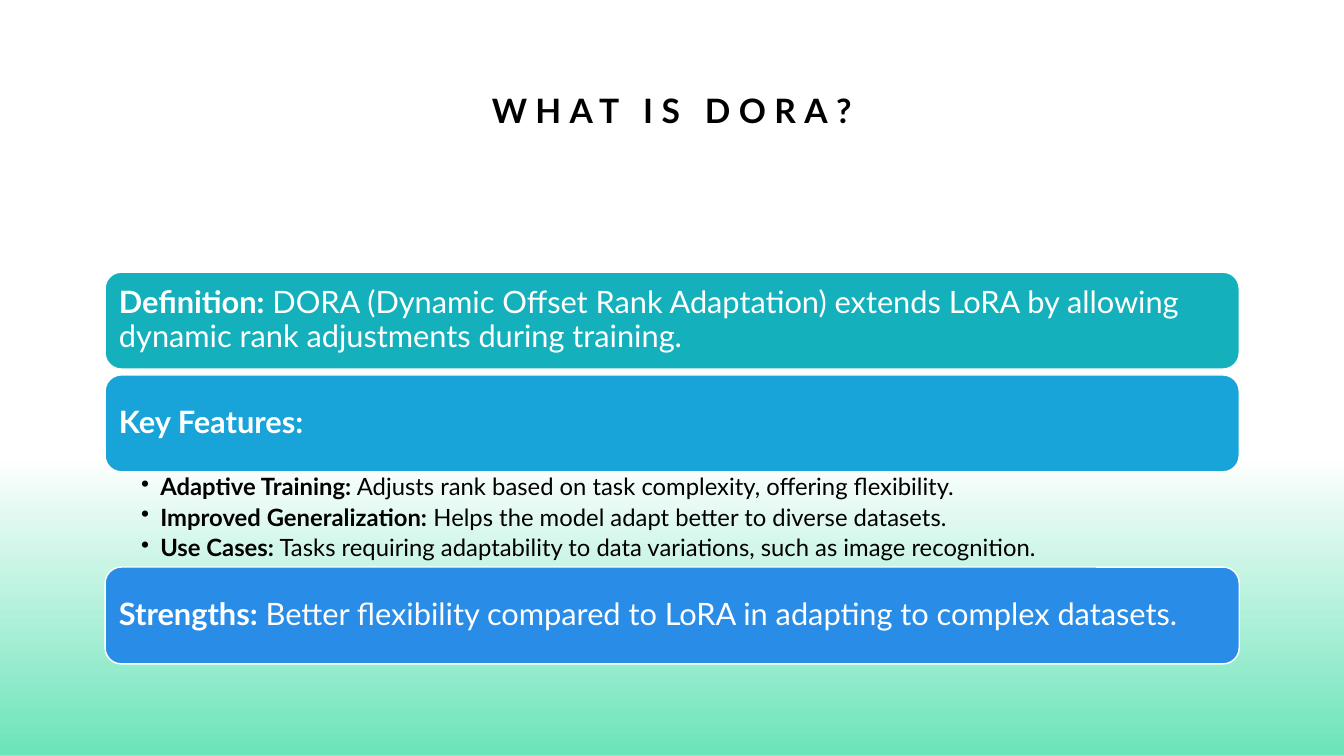
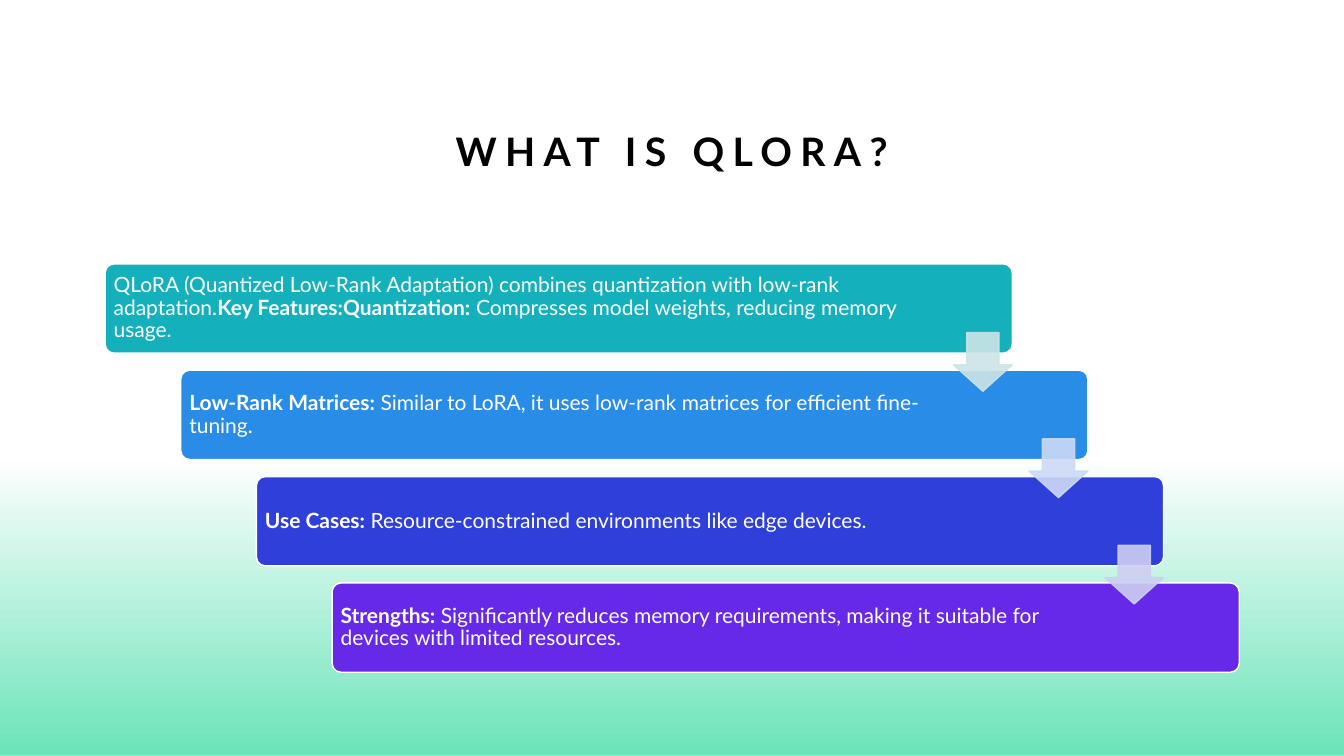
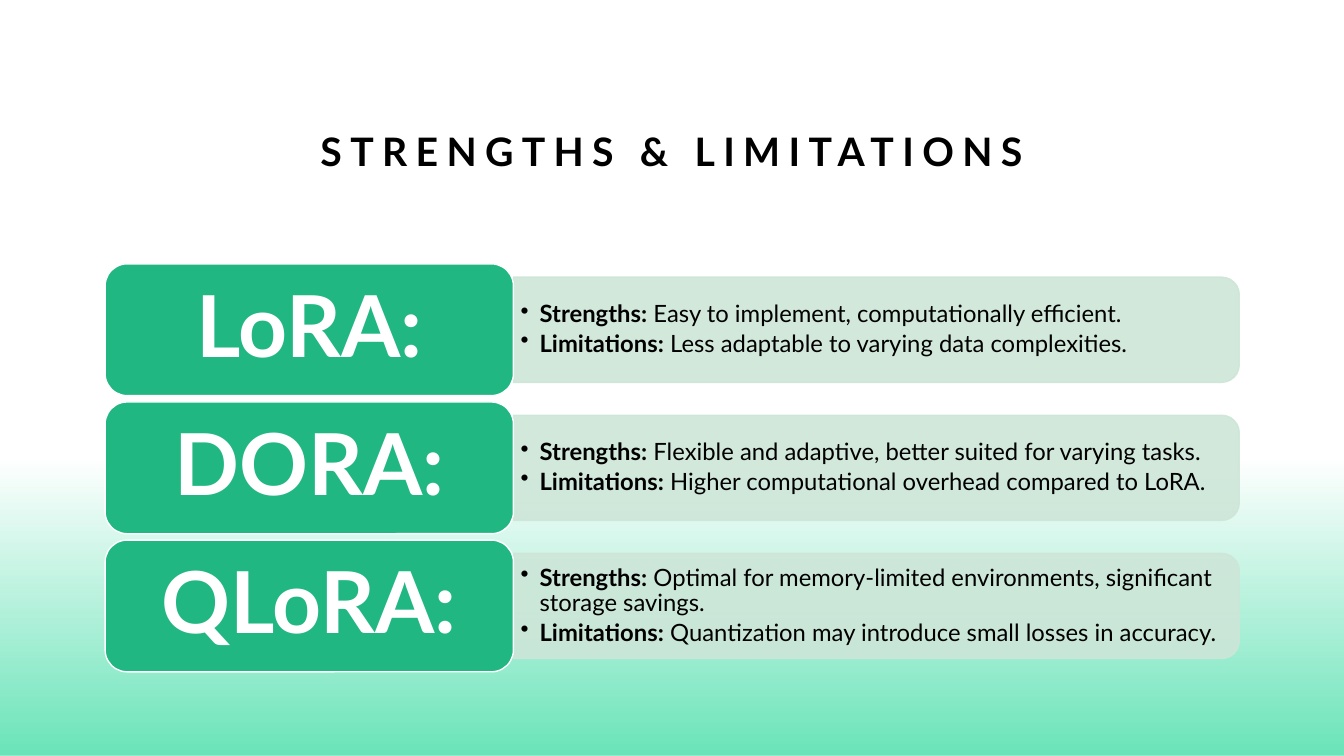
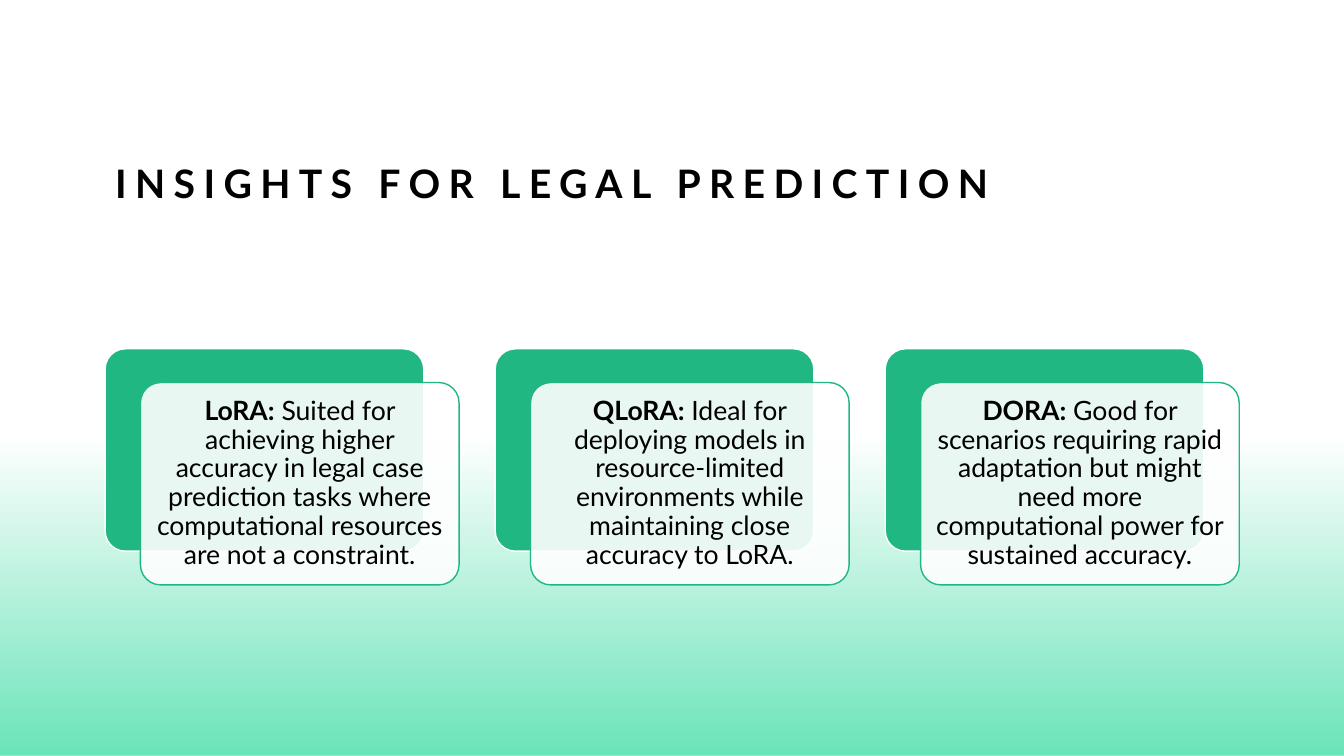
import pptx
import pptx.util
import pptx.dml.color
import pptx.enum.shapes
import pptx.enum.text
import pptx.oxml.ns
import lxml.etree

Cm = pptx.util.Cm
Pt = pptx.util.Pt
SHAPES = pptx.enum.shapes.MSO_SHAPE
ALIGN = pptx.enum.text.PP_ALIGN
ANCHOR = pptx.enum.text.MSO_ANCHOR
qn = pptx.oxml.ns.qn

FONT = "Lato"
COLORS = {
    "ink": "000000", "paper": "FFFFFF", "mint": "6AE4B9", "green": "21B782",
    "pale green": "CDE6D8", "teal": "14B1BC", "sky": "18A4D8", "blue": "298CE7",
    "indigo": "2E40D9", "violet": "6529E7", "pale teal": "CCE4E7",
    "pale blue": "CDDAF6", "pale indigo": "CDCFF1",
}
PAGE_WIDTH, PAGE_HEIGHT = 33.87, 19.05
LEFT, WIDTH = 2.65, 28.58
HANGING = 0.48


def rgb(name):
    return pptx.dml.color.RGBColor.from_string(COLORS[name])


def set_alpha(color, percent):
    lxml.etree.SubElement(color, qn("a:alpha")).set("val", str(percent * 1000))


def add_box(page, kind, box, fill, line="paper", opacity=100, corner=None):
    """Add a filled, outlined shape; opacity applies to every part in the fill colour."""
    shape = page.shapes.add_shape(kind, *map(Cm, box))
    shape.shadow.inherit = False
    shape.fill.solid()
    shape.fill.fore_color.rgb = rgb(fill)
    shape.line.color.rgb = rgb(line)
    shape.line.width = Pt(1)
    if corner is not None:
        shape.adjustments[0] = corner
    if opacity < 100:
        for color in shape._element.spPr.iter(qn("a:srgbClr")):
            if color.get("val") == COLORS[fill]:
                set_alpha(color, opacity)
    return shape


def write(shape, paragraphs, size, color, insets, align=ALIGN.LEFT,
          anchor=ANCHOR.MIDDLE, bullet_gap=None):
    """Fill a shape; each paragraph lists its spans, bold and regular in turn."""
    frame = shape.text_frame
    frame.word_wrap = True
    frame.vertical_anchor = anchor
    (frame.margin_left, frame.margin_top,
     frame.margin_right, frame.margin_bottom) = map(Cm, insets)
    for index, spans in enumerate(paragraphs):
        para = frame.paragraphs[0] if index == 0 else frame.add_paragraph()
        para.alignment = align
        para.line_spacing = 0.9
        if bullet_gap is not None:
            para.space_after = Pt(bullet_gap)
            add_bullet(para)
        for position, words in enumerate(spans):
            if words:
                span = para.add_run()
                span.text = words
                style_font(span.font, size, color, position % 2 == 0)


def style_font(font, size, color, bold):
    font.name = FONT
    font.size = Pt(size)
    font.bold = bold
    font.color.rgb = rgb(color)


def add_bullet(para):
    properties = para._p.get_or_add_pPr()
    properties.set("marL", str(Cm(HANGING)))
    properties.set("indent", str(-Cm(HANGING)))
    lxml.etree.SubElement(properties, qn("a:buChar")).set("char", "•")


def add_band(page, top):
    """Add the mint glow that fades in from top to the foot of the page."""
    band = page.shapes.add_shape(SHAPES.RECTANGLE, 0, Cm(top), Cm(PAGE_WIDTH),
                                 Cm(PAGE_HEIGHT - top))
    band.shadow.inherit = False
    band.line.fill.background()
    band.fill.gradient()
    band.fill.gradient_angle = 270
    for stop, position in zip(band.fill.gradient_stops, (0.14, 1)):
        stop.color.rgb = rgb("mint")
        stop.position = position
    set_alpha(next(band._element.spPr.iter(qn("a:srgbClr"))), 0)


def add_page(deck, title, box=(4.23, 2.12, 25.4, 2.41), size=28, spacing=1.2,
             align=ALIGN.CENTER, bottom_inset=0.13, band_top=10.39):
    page = deck.slides.add_slide(deck.slide_layouts[5])
    add_band(page, band_top)
    holder = page.shapes.title
    holder.left, holder.top, holder.width, holder.height = map(Cm, box)
    frame = holder.text_frame
    frame.text = title
    frame.word_wrap = True
    frame.vertical_anchor = ANCHOR.BOTTOM
    frame.margin_bottom = Cm(bottom_inset)
    para = frame.paragraphs[0]
    para.alignment = align
    para.line_spacing = spacing
    span = para.runs[0]
    style_font(span.font, size, "ink", True)
    span._r.get_or_add_rPr().set("spc", "600")
    return page


def add_bar_list(page, left, top, width, sections):
    """Stack full-width bars, with bullets under those that have them."""
    bar_height, gap, bullets_height = 2.44, 0.15, 2.4
    for color, heading, bullets in sections:
        bar = add_box(page, SHAPES.ROUNDED_RECTANGLE, (left, top, width, bar_height), color)
        write(bar, [heading], 22, "paper", [0.23] * 4)
        top += bar_height
        if bullets:
            area = page.shapes.add_textbox(*map(Cm, (left, top, width, bullets_height)))
            write(area, bullets, 17, "ink", (0.91, 0.08, 0.43, 0.08),
                  anchor=ANCHOR.TOP, bullet_gap=3.4)
            top += bullets_height
        else:
            top += gap


def add_staircase(page, left, top, width, steps, arrow_colors):
    """Place bars stepping down to the right, joined by arrows."""
    bar_width, bar_height, drop, arrow = 22.86, 2.25, 2.68, 1.48
    shift = (width - bar_width) / (len(steps) - 1)
    for index, (color, spans) in enumerate(steps):
        bar = add_box(page, SHAPES.ROUNDED_RECTANGLE,
                      (left + index * shift, top + index * drop, bar_width, bar_height),
                      color, corner=0.1)
        right_inset = 2.6 if index == 0 else 3.45
        write(bar, [spans], 15, "paper", (0.15, 0.15, right_inset, 0.15))
    for index, color in enumerate(arrow_colors):
        pointer = add_box(page, SHAPES.DOWN_ARROW,
                          (left + index * shift + bar_width - arrow,
                           top + index * drop + 1.73, arrow, arrow),
                          color, line=color, opacity=90, corner=0.55)
        pointer.adjustments[1] = 0.45


def add_comparison(page, left, top, width, rows):
    """Place one row per method: a name tag and a panel of bullets."""
    tag_width, tag_height, pitch, panel_height = 10.29, 3.32, 3.48, 2.65
    panel_left, panel_width = left + tag_width, width - tag_width
    for index, (name, bullets) in enumerate(rows):
        row_top = top + index * pitch
        middle = row_top + tag_height / 2
        panel = add_box(page, SHAPES.ROUND_2_SAME_RECTANGLE,
                        (panel_left + (panel_width - panel_height) / 2,
                         middle - panel_width / 2, panel_height, panel_width),
                        "pale green", line="pale green", opacity=90)
        panel.rotation = 90
        area = page.shapes.add_textbox(*map(Cm, (
            panel_left, middle - panel_height / 2, panel_width - 0.13, panel_height)))
        write(area, bullets, 17, "ink", (0.18, 0.1, 0.18, 0.1), bullet_gap=2.55)
        tag = add_box(page, SHAPES.ROUNDED_RECTANGLE,
                      (left, row_top, tag_width, tag_height), "green")
        write(tag, [[name]], 61, "paper", (0.64, 0.33, 0.64, 0.33), align=ALIGN.CENTER)


def add_cards(page, left, top, width, cards):
    """Place white cards, each over a green backing, evenly across the width."""
    card_width, card_height, offset_x, offset_y = 8.03, 5.1, 0.89, 0.85
    pitch = (width - card_width - offset_x) / (len(cards) - 1)
    for index, spans in enumerate(cards):
        x = left + index * pitch
        add_box(page, SHAPES.ROUNDED_RECTANGLE, (x, top, card_width, card_height),
                "green", corner=0.1)
        card = add_box(page, SHAPES.ROUNDED_RECTANGLE,
                       (x + offset_x, top + offset_y, card_width, card_height),
                       "paper", line="green", opacity=90, corner=0.1)
        write(card, [spans], 19, "ink", [0.2] * 4, align=ALIGN.CENTER)


def main():
    deck = pptx.Presentation()
    deck.slide_width, deck.slide_height = Cm(PAGE_WIDTH), Cm(PAGE_HEIGHT)

    page = add_page(deck, "WHAT IS DORA?", size=24, spacing=1.1, bottom_inset=1.25)
    add_bar_list(page, LEFT, 6.86, WIDTH, [
        ("teal", ["Definition:", " DORA (Dynamic Offset Rank Adaptation) extends LoRA by "
                  "allowing dynamic rank adjustments during training."], []),
        ("sky", ["Key Features:"], [
            ["Adaptive Training:",
             " Adjusts rank based on task complexity, offering flexibility."],
            ["Improved Generalization:",
             " Helps the model adapt better to diverse datasets."],
            ["Use Cases:", " Tasks requiring adaptability to data variations, "
             "such as image recognition."],
        ]),
        ("blue", ["Strengths:", " Better flexibility compared to LoRA in adapting to "
                  "complex datasets."], []),
    ])

    page = add_page(deck, "WHAT IS QLORA?")
    add_staircase(page, LEFT, 6.65, WIDTH, [
        ("teal", ["", "QLoRA (Quantized Low-Rank Adaptation) combines quantization with "
                  "low-rank adaptation.", "Key Features:Quantization:",
                  " Compresses model weights, reducing memory usage."]),
        ("blue", ["Low-Rank Matrices:", " Similar to LoRA, it uses low-rank matrices for "
                  "efficient fine-tuning."]),
        ("indigo", ["Use Cases:", " Resource-constrained environments like edge devices."]),
        ("violet", ["Strengths:", " Significantly reduces memory requirements, making it "
                    "suitable for devices with limited resources."]),
    ], ["pale teal", "pale blue", "pale indigo"])

    page = add_page(deck, "STRENGTHS & LIMITATIONS")
    add_comparison(page, LEFT, 6.65, WIDTH, [
        ("LoRA:", [
            ["Strengths:", " Easy to implement, computationally efficient."],
            ["Limitations:", " Less adaptable to varying data complexities."]]),
        ("DORA:", [
            ["Strengths:", " Flexible and adaptive, better suited for varying tasks."],
            ["Limitations:", " Higher computational overhead compared to LoRA."]]),
        ("QLoRA:", [
            ["Strengths:", " Optimal for memory-limited environments, significant "
             "storage savings."],
            ["Limitations:", " Quantization may introduce small losses in accuracy."]]),
    ])

    page = add_page(deck, "INSIGHTS FOR LEGAL PREDICTION", box=(LEFT, 2.12, WIDTH, 3.2),
                    align=ALIGN.LEFT, band_top=9.75)
    add_cards(page, LEFT, 8.79, WIDTH, [
        ["LoRA:", " Suited for achieving higher accuracy in legal case prediction tasks "
         "where computational resources are not a constraint."],
        ["QLoRA:", " Ideal for deploying models in resource-limited environments while "
         "maintaining close accuracy to LoRA."],
        ["DORA:", " Good for scenarios requiring rapid adaptation but might need more "
         "computational power for sustained accuracy."],
    ])
    deck.save("out.pptx")


if __name__ == "__main__":
    main()
